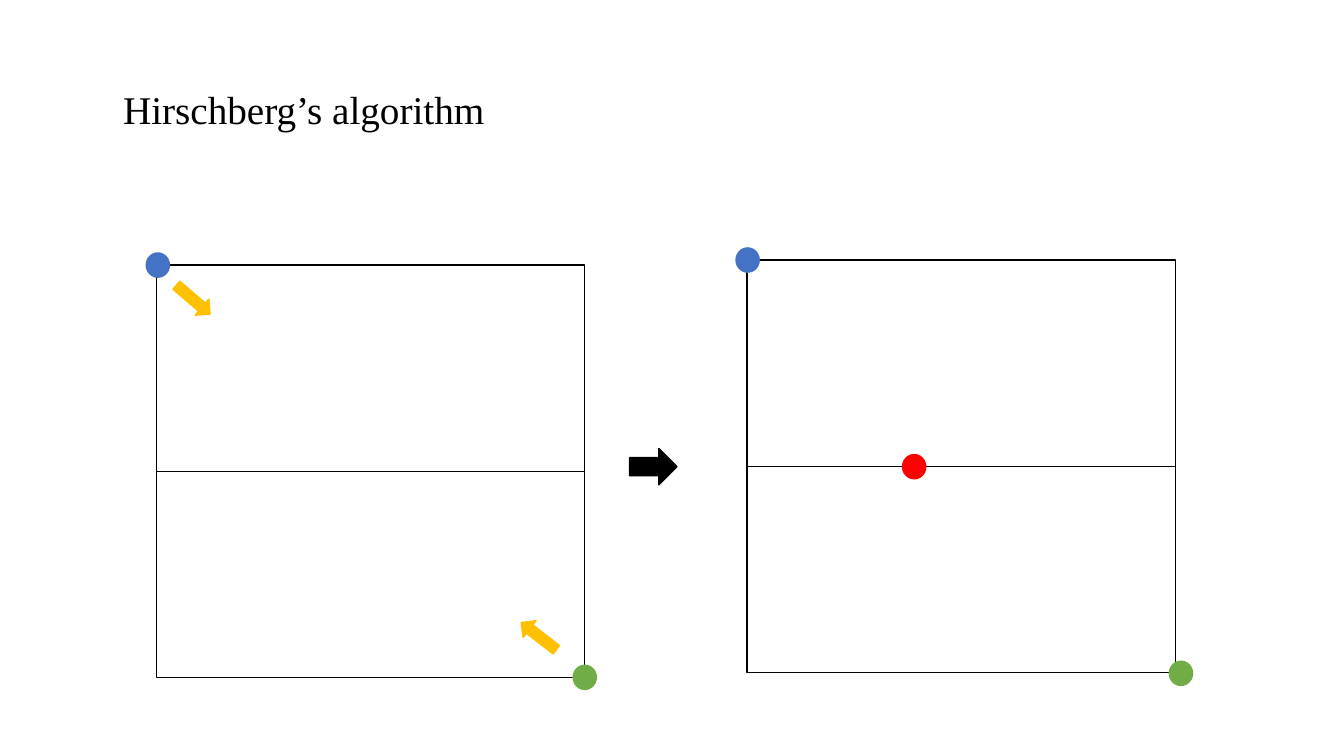
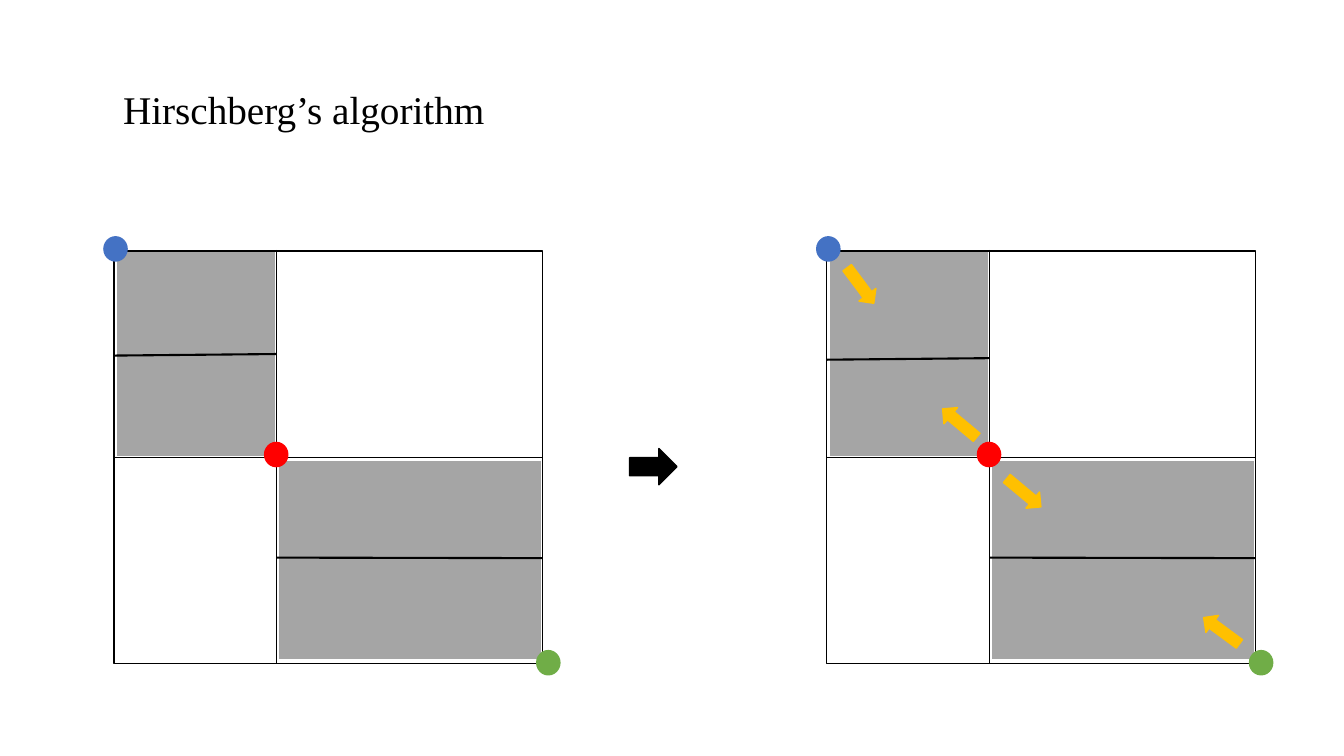
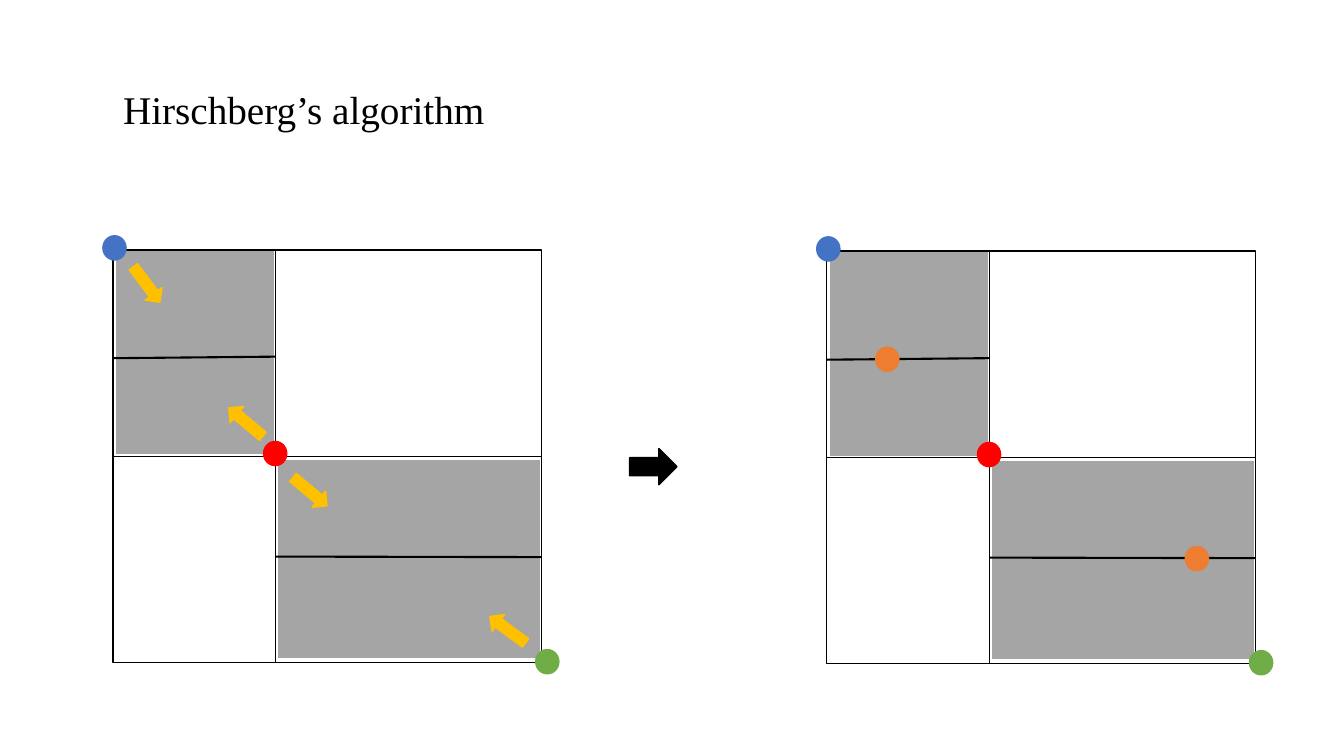
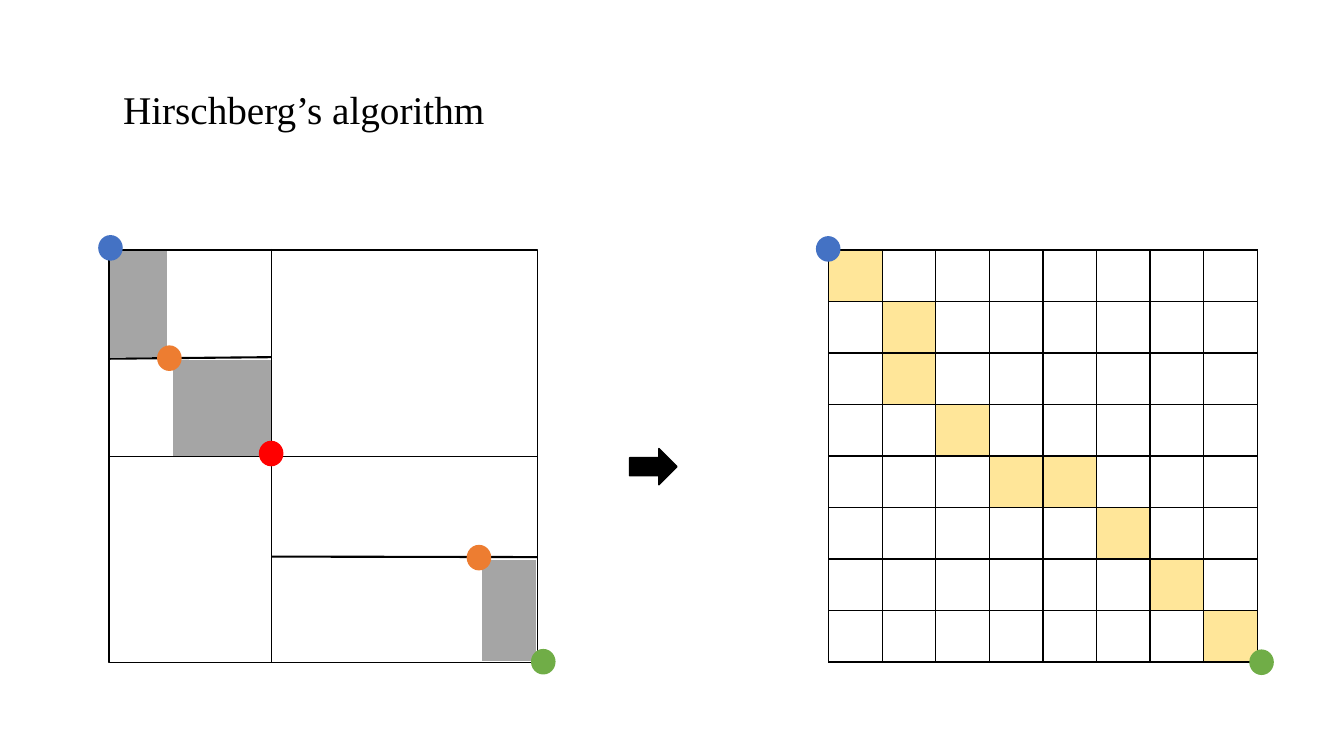
from lxml import etree
from pptx import Presentation
from pptx.dml.color import RGBColor
from pptx.enum.shapes import MSO_CONNECTOR, MSO_SHAPE
from pptx.enum.text import MSO_ANCHOR, MSO_AUTO_SIZE, PP_ALIGN
from pptx.oxml.ns import qn
from pptx.util import Inches, Pt

RECT, OVAL, DOWN = MSO_SHAPE.RECTANGLE, MSO_SHAPE.OVAL, MSO_SHAPE.DOWN_ARROW
LINE = MSO_CONNECTOR.STRAIGHT
TOP, LEFT, GROW = MSO_ANCHOR.TOP, PP_ALIGN.LEFT, MSO_AUTO_SIZE.SHAPE_TO_FIT_TEXT

BLACK = RGBColor(0x00, 0x00, 0x00)
WHITE = RGBColor(0xFF, 0xFF, 0xFF)
GREY = RGBColor(0xA5, 0xA5, 0xA5)
BLUE = RGBColor(0x44, 0x72, 0xC4)
GREEN = RGBColor(0x70, 0xAD, 0x47)
RED = RGBColor(0xFF, 0x00, 0x00)
ORANGE = RGBColor(0xED, 0x7D, 0x31)
GOLD = RGBColor(0xFF, 0xC0, 0x00)
CREAM = RGBColor(0xFF, 0xE6, 0x99)

# A board is N by N cells; places on it are given in columns and rows.
N = 8
WIDE, HIGH = 4.25, 4.09
SPLIT, MID = 3.03, 4

START, GOAL = (0.03, -0.04, BLUE), (8.11, 7.99, GREEN)
CROSS = (SPLIT, 3.95, RED)
ENDS = [START, GOAL]
SUBS = [(1.13, 2.1, ORANGE), (6.91, 5.97, ORANGE)]
BLOCKS = [(3.07, 4.05, 4.93, 3.89), (0.04, 0, 2.99, 3.99)]
PARTS = [(6.95, 5.99, 1.05, 2.01), (1.17, 2.11, 1.9, 1.92),
         (-0.04, 0, 1.15, 2.09)]
MOVES = [(0.63, 0.67, 323.2), (3.68, 4.69, 309.8),
         (2.48, 3.34, 129.9), (7.37, 7.37, 126.4)]
ROUTE = [[0], [1], [1], [2], [3, 4], [5], [6], [7]]


def shape(slide, kind, box, fill, edge, width=1):
    item = slide.shapes.add_shape(kind, *map(Inches, box))
    item.shadow.inherit = False
    if fill is None:
        item.fill.background()
    else:
        item.fill.solid()
        item.fill.fore_color.rgb = fill
    item.line.color.rgb = edge
    item.line.width = Pt(width)
    return item


def arrow(slide, x, y, size, turn, color):
    """Block arrow centred on x, y."""
    w, h = size
    item = shape(slide, DOWN, (x - w / 2, y - h / 2, w, h), color, color)
    item.rotation = turn


class Board:
    """Square of N by N cells with its top left corner at x, y."""

    def __init__(self, slide, x, y):
        self.slide, self.x, self.y = slide, x, y

    def spot(self, col, row):
        return self.x + col * WIDE / N, self.y + row * HIGH / N

    def frame(self, fill=None):
        shape(self.slide, RECT, (self.x, self.y, WIDE, HIGH), fill, BLACK)

    def line(self, start, end, width):
        ends = self.spot(*start) + self.spot(*end)
        item = self.slide.shapes.add_connector(LINE, *map(Inches, ends))
        item.line.color.rgb = BLACK
        item.line.width = Pt(width)
        etree.SubElement(item._element.spPr, qn("a:effectLst"))

    def blocks(self, areas):
        for col, row, cols, rows in areas:
            box = (*self.spot(col, row), cols * WIDE / N, rows * HIGH / N)
            shape(self.slide, RECT, box, GREY, WHITE, 1.5)

    def dots(self, places):
        w, h = 0.23, 0.24
        for col, row, color in places:
            x, y = self.spot(col, row)
            box = (x - w / 2, y - h / 2, w, h)
            shape(self.slide, OVAL, box, color, color)

    def moves(self, places):
        for col, row, turn in places:
            arrow(self.slide, *self.spot(col, row), (0.21, 0.44), turn, GOLD)

    def halved(self, dots, moves=()):
        """Whole problem, cut at the middle row."""
        self.frame(WHITE)
        self.line((0, MID), (N, MID), 0.5)
        self.dots(dots)
        self.moves(moves)

    def quartered(self, areas, upper, subs=(), moves=()):
        """Two smaller problems, the first cut near row upper."""
        self.blocks(areas)
        self.frame()
        self.line((0, MID), (N, MID), 0.5)
        self.line((SPLIT, -0.02), (SPLIT, N), 0.5)
        self.line((0, upper), (SPLIT, upper - 0.03), 1.5)
        self.line((SPLIT, 5.95), (N, 5.96), 1.5)
        self.dots([*ENDS, CROSS, *subs])
        self.moves(moves)

    def solved(self):
        """Table of cells with the route filled in."""
        box = map(Inches, (self.x, self.y, WIDE, HIGH))
        table = self.slide.shapes.add_table(N, N, *box).table
        table.first_row = table.horz_banding = False
        for row, marked in enumerate(ROUTE):
            for col in range(N):
                cell = table.cell(row, col)
                border(cell)
                if col in marked:
                    cell.fill.solid()
                    cell.fill.fore_color.rgb = CREAM
                else:
                    cell.fill.background()
        self.dots([(-0.01, -0.02, BLUE), (8.08, 8, GREEN)])


def border(cell):
    props = cell._tc.get_or_add_tcPr()
    for side in "LRTB":
        edge = etree.SubElement(props, qn("a:ln" + side), w=str(Pt(1)))
        fill = etree.SubElement(edge, qn("a:solidFill"))
        etree.SubElement(fill, qn("a:srgbClr"), val=str(BLACK))


def title(slide):
    head = slide.shapes.title
    head.left, head.top, head.width, head.height = map(
        Inches, (1.12, 0.8, 3.82, 0.57))
    frame = head.text_frame
    frame.text = "Hirschberg’s algorithm"
    frame.word_wrap = False
    frame.auto_size = GROW
    frame.vertical_anchor = TOP
    para = frame.paragraphs[0]
    para.alignment = LEFT
    font = para.runs[0].font
    font.name, font.size = "Times New Roman", Pt(28)
    font.color.rgb = BLACK


def step(deck, left, right):
    """Titled slide with an arrow between two boards, which it returns."""
    slide = deck.slides.add_slide(deck.slide_layouts[5])
    title(slide)
    arrow(slide, 6.48, 4.63, (0.36, 0.47), 270, BLACK)
    return Board(slide, *left), Board(slide, *right)


def main():
    deck = Presentation()
    deck.slide_width, deck.slide_height = Inches(13.33), Inches(7.5)
    after = (8.2, 2.49)

    left, right = step(deck, (1.55, 2.63), (7.41, 2.58))
    left.halved([(0.03, 0, BLUE), (N, N, GREEN)],
                [(0.69, 0.67, 310.6), (7.14, 7.2, 127.7)])
    right.halved([(0.01, 0, BLUE), (8.1, 8.02, GREEN), (3.12, 4.01, RED)])

    left, right = step(deck, (1.13, 2.49), after)
    left.quartered(BLOCKS, 2.03)
    right.quartered(BLOCKS, 2.11, moves=MOVES)

    left, right = step(deck, (1.12, 2.48), after)
    left.quartered(BLOCKS, 2.1, moves=MOVES)
    right.quartered(BLOCKS, 2.11, SUBS)

    left, right = step(deck, (1.08, 2.48), (8.22, 2.48))
    left.quartered(PARTS, 2.11, SUBS)
    right.solved()

    deck.save("out.pptx")


if __name__ == "__main__":
    main()
